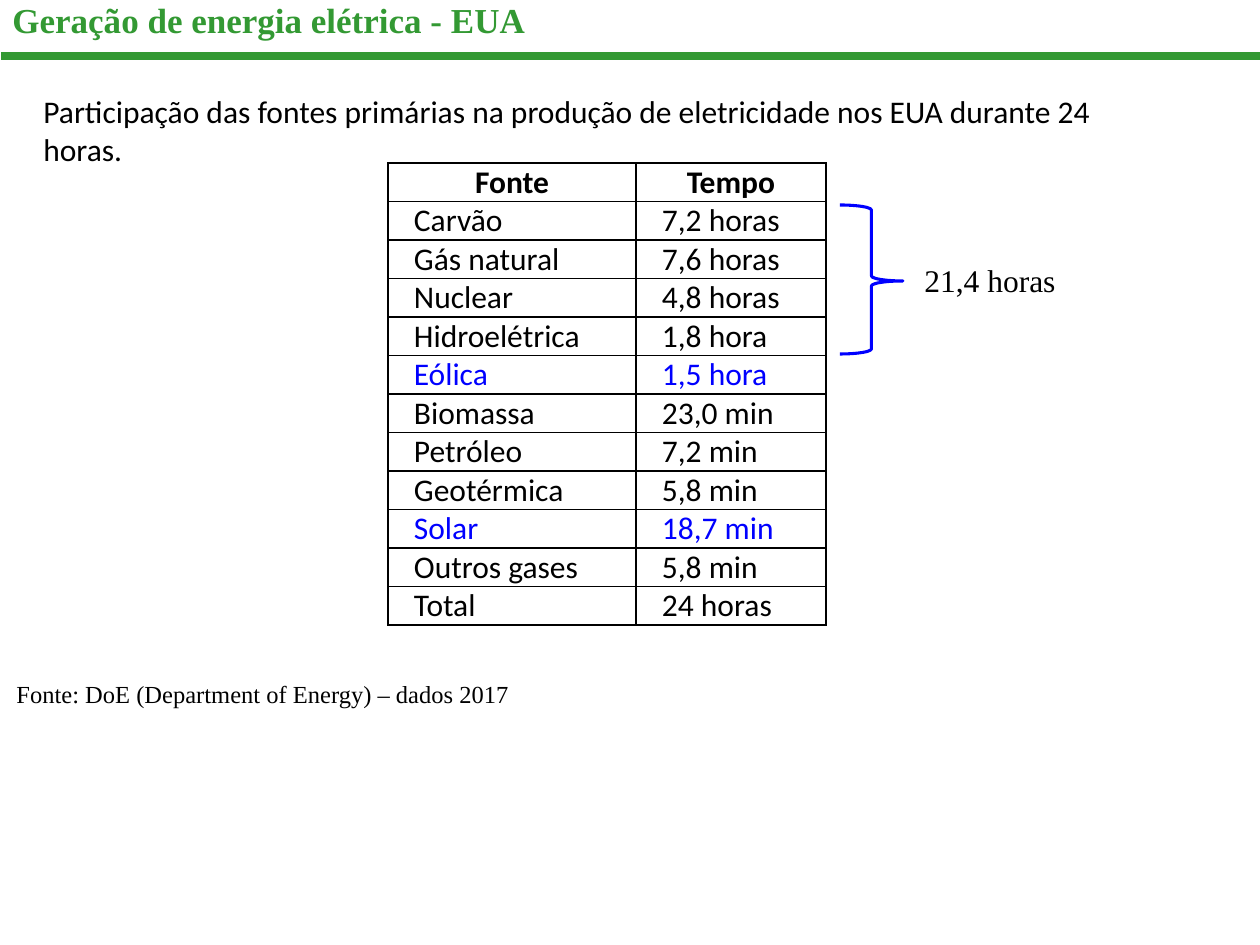
from dataclasses import dataclass

from lxml import etree
from pptx import Presentation
from pptx.dml.color import RGBColor
from pptx.enum.shapes import MSO_CONNECTOR, MSO_SHAPE
from pptx.enum.text import MSO_ANCHOR, PP_ALIGN
from pptx.oxml.ns import qn
from pptx.util import Emu, Pt

PX_PER_INCH = 126
STRAIGHT = MSO_CONNECTOR.STRAIGHT
RIGHT_BRACE = MSO_SHAPE.RIGHT_BRACE
MIDDLE, TOP, BOTTOM = MSO_ANCHOR.MIDDLE, MSO_ANCHOR.TOP, MSO_ANCHOR.BOTTOM
CENTER, LEFT = PP_ALIGN.CENTER, PP_ALIGN.LEFT

GREEN, BLUE, BLACK = "339933", "0000FF", "000000"
SERIF, SANS = "Times New Roman", "Calibri"


@dataclass
class Label:
    text: str
    left: int
    top: int
    width: int
    height: int
    size: int
    font: str = SERIF
    color: str = BLACK
    bold: bool = False
    wrap: bool = False
    anchor: MSO_ANCHOR = TOP


@dataclass
class Source:
    name: str
    time: str
    color: str = BLACK


LABELS = [
    Label("Geração de energia elétrica - EUA", 0, -10, 1221, 60, 20,
          color=GREEN, bold=True, wrap=True, anchor=MIDDLE),
    Label("Participação das fontes primárias na produção de eletricidade nos EUA "
          "durante 24 horas.", 31, 86, 1144, 49, 18, font=SANS, wrap=True),
    Label("Fonte: DoE (Department of Energy) – dados 2017", 4, 673, 534, 43, 14),
    Label("21,4 horas", 912, 255, 157, 50, 18),
]
HEADINGS = ("Fonte", "Tempo")
SOURCES = [
    Source("Carvão", "7,2 horas"),
    Source("Gás natural", "7,6 horas"),
    Source("Nuclear", "4,8 horas"),
    Source("Hidroelétrica", "1,8 hora"),
    Source("Eólica", "1,5 hora", BLUE),
    Source("Biomassa", "23,0 min"),
    Source("Petróleo", "7,2 min"),
    Source("Geotérmica", "5,8 min"),
    Source("Solar", "18,7 min", BLUE),
    Source("Outros gases", "5,8 min"),
    Source("Total", "24 horas"),
]
COLUMN_WIDTHS = (248, 190)
ROW_HEIGHT = 38
CELL_INDENT = 20


def px(length: int) -> Emu:
    return Emu(round(length * 914400 / PX_PER_INCH))


def rgb(color: str) -> RGBColor:
    return RGBColor.from_string(color)


def style_font(paragraph, size: int, font: str, color: str, bold: bool) -> None:
    paragraph.font.size = Pt(size)
    paragraph.font.name = font
    paragraph.font.bold = bold
    paragraph.font.color.rgb = rgb(color)


def add_label(slide, label: Label) -> None:
    box = slide.shapes.add_textbox(px(label.left), px(label.top),
                                   px(label.width), px(label.height))
    frame = box.text_frame
    frame.word_wrap = label.wrap
    frame.vertical_anchor = label.anchor
    frame.text = label.text
    style_font(frame.paragraphs[0], label.size, label.font, label.color, label.bold)


def add_title_rule(slide) -> None:
    rule = slide.shapes.add_connector(STRAIGHT, px(1), px(56), px(1261), px(56))
    rule.line.color.rgb = rgb(GREEN)
    rule.line.width = Pt(4.5)
    etree.SubElement(rule._element.spPr, qn("a:effectLst"))


def add_borders(cell) -> None:
    """Draw all four sides; borders must precede the fill in the cell properties."""
    properties = cell._tc.get_or_add_tcPr()
    for position, side in enumerate(("lnL", "lnR", "lnT", "lnB")):
        border = etree.Element(qn(f"a:{side}"), w=str(Pt(1)))
        fill = etree.SubElement(border, qn("a:solidFill"))
        etree.SubElement(fill, qn("a:srgbClr"), val=BLACK)
        properties.insert(position, border)


def fill_cell(cell, text: str, color: str, heading: bool) -> None:
    cell.fill.background()
    add_borders(cell)
    cell.margin_left = cell.margin_right = px(6)
    cell.margin_top = cell.margin_bottom = 0
    cell.vertical_anchor = BOTTOM
    cell.text = text
    paragraph = cell.text_frame.paragraphs[0]
    paragraph.alignment = CENTER if heading else LEFT
    if not heading:
        paragraph._p.get_or_add_pPr().set("marL", str(px(CELL_INDENT)))
    style_font(paragraph, 18, SANS, color, heading)


def add_source_table(slide) -> None:
    row_count = len(SOURCES) + 1
    table = slide.shapes.add_table(row_count, len(HEADINGS), px(388), px(163),
                                   px(sum(COLUMN_WIDTHS)),
                                   px(ROW_HEIGHT * row_count)).table
    table.horz_banding = False
    for column, width in zip(table.columns, COLUMN_WIDTHS):
        column.width = px(width)
    for row in table.rows:
        row.height = px(ROW_HEIGHT)
    for column, heading in enumerate(HEADINGS):
        fill_cell(table.cell(0, column), heading, BLACK, True)
    for row, source in enumerate(SOURCES, start=1):
        for column, text in enumerate((source.name, source.time)):
            fill_cell(table.cell(row, column), text, source.color, False)


def add_subtotal_brace(slide) -> None:
    brace = slide.shapes.add_shape(RIGHT_BRACE, px(840), px(205), px(63), px(149))
    brace.adjustments[0] = 0.08
    brace.adjustments[1] = 0.51
    brace.shadow.inherit = False
    brace.fill.background()
    brace.line.color.rgb = rgb(BLUE)
    brace.line.width = Pt(1.75)


def main() -> None:
    presentation = Presentation()
    presentation.slide_width = px(1260)
    presentation.slide_height = px(945)
    slide = presentation.slides.add_slide(presentation.slide_layouts[6])
    add_title_rule(slide)
    add_source_table(slide)
    add_subtotal_brace(slide)
    for label in LABELS:
        add_label(slide, label)
    presentation.save("out.pptx")


if __name__ == "__main__":
    main()
